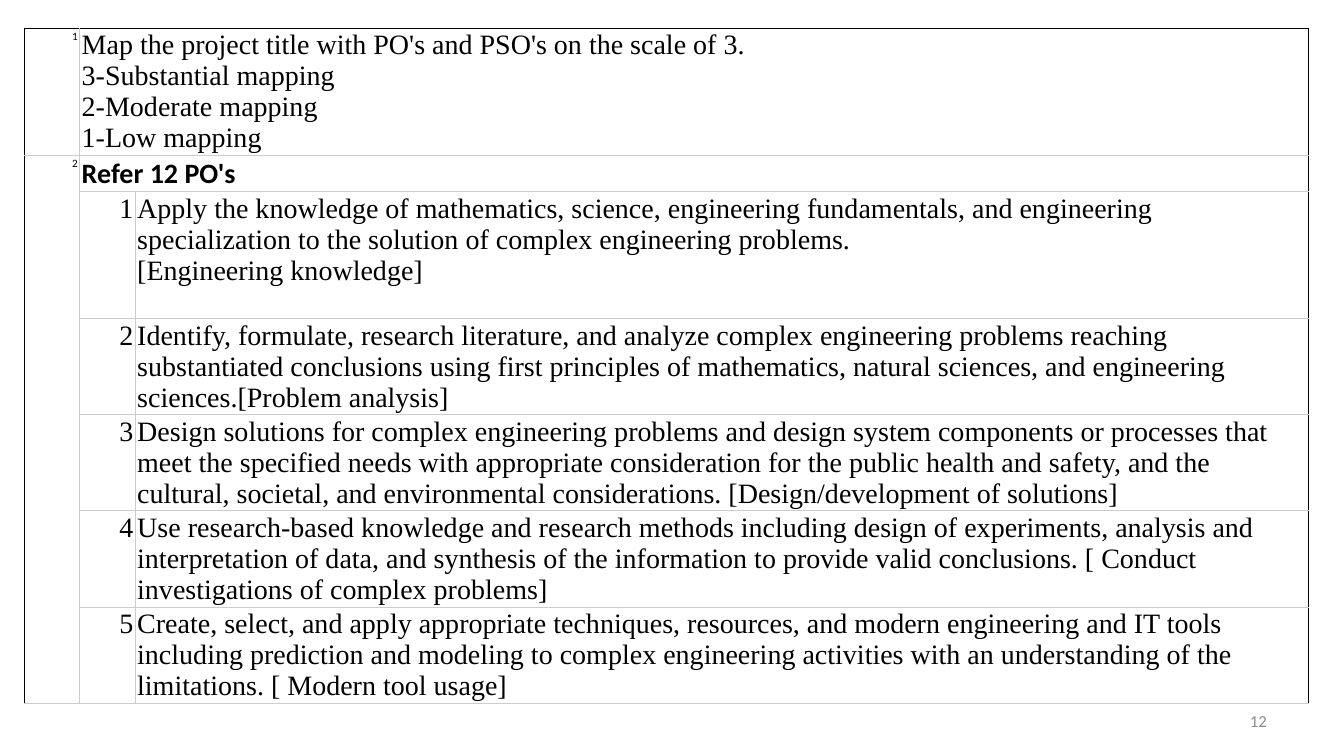
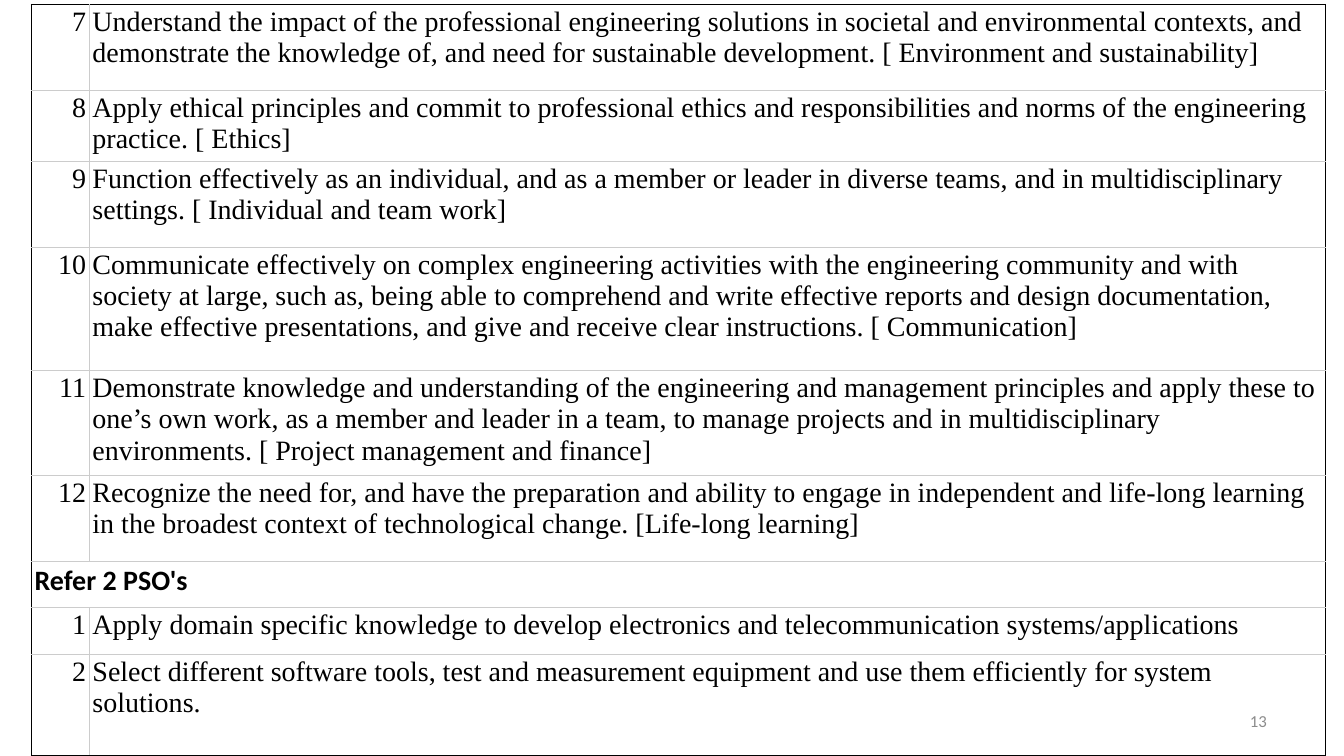
from pptx import Presentation
from pptx.dml.color import RGBColor as RGB
from pptx.enum.text import MSO_ANCHOR as ANCHOR, PP_ALIGN as ALIGN
from pptx.oxml import parse_xml
from pptx.oxml.ns import nsdecls
from pptx.util import Cm, Pt

COLORS = {"text": "000000", "frame": "000000", "grid": "CCCCCC", "number": "8C8C8C"}
BODY, HEAD = "Times New Roman", "Calibri"


class Deck:
    def __init__(self):
        self.prs = Presentation()
        self.prs.slide_width, self.prs.slide_height = Cm(33.87), Cm(19.05)
        self.s = None

    def slide(self):
        self.s = self.prs.slides.add_slide(self.prs.slide_layouts[6])

    def style(self, p, font, size, color="text", bold=False, align=ALIGN.LEFT):
        p.alignment = align
        p.font.name, p.font.size, p.font.bold = font, Pt(size), bold
        p.font.color.rgb = RGB.from_string(COLORS[color])

    def number(self, n):
        sp = self.s.shapes.add_textbox(Cm(24.28), Cm(17.65), Cm(7.9), Cm(1.02))
        tf = sp.text_frame
        tf.word_wrap = True
        tf.vertical_anchor = ANCHOR.MIDDLE
        tf.text = str(n)
        self.style(tf.paragraphs[0], HEAD, 12, "number", align=ALIGN.RIGHT)

    def table(self, left, top, widths, heights, inset, merges, closed):
        rows, cols = len(heights), len(widths)
        frame = self.s.shapes.add_table(rows, cols, Cm(left), Cm(top),
                                        Cm(sum(widths)), Cm(sum(heights)))
        table = frame.table
        table.first_row = table.horz_banding = False
        for column, width in zip(table.columns, widths):
            column.width = Cm(width)
        for row, height in zip(table.rows, heights):
            row.height = Cm(height)
        for first, last in merges:
            table.cell(*first).merge(table.cell(*last))
        for r in range(rows):
            for c in range(cols):
                cell = table.cell(r, c)
                cell.margin_left = cell.margin_right = Cm(inset[0])
                cell.margin_top = cell.margin_bottom = Cm(inset[1])
                self.borders(cell, {"L": c == 0, "R": c + cell.span_width >= cols,
                                    "T": r == 0,
                                    "B": closed and r + cell.span_height >= rows})
                cell.fill.background()
        return table

    def borders(self, cell, outer):
        tcPr = cell._tc.get_or_add_tcPr()
        for side, framed in outer.items():
            color = COLORS["frame" if framed else "grid"]
            tcPr.append(parse_xml(
                f'<a:ln{side} {nsdecls("a")} w="{Pt(0.75)}"><a:solidFill>'
                f'<a:srgbClr val="{color}"/></a:solidFill></a:ln{side}>'))

    def entry(self, cell, text, font=BODY, size=20, **look):
        cell.text = text
        self.style(cell.text_frame.paragraphs[0], font, size, **look)

    def outcomes(self, table, row, col, start, texts):
        for i, text in enumerate(texts):
            self.entry(table.cell(row + i, col), str(start + i), align=ALIGN.RIGHT)
            self.entry(table.cell(row + i, col + 1), text)


FIRST_POS = [
    "Apply the knowledge of mathematics, science, engineering fundamentals, and engineering "
    "specialization to the solution of complex engineering problems.\v[Engineering knowledge]",
    "Identify, formulate, research literature, and analyze complex engineering problems reaching "
    "substantiated conclusions using first principles of mathematics, natural sciences, and "
    "engineering sciences.[Problem analysis]",
    "Design solutions for complex engineering problems and design system components or processes "
    "that meet the specified needs with appropriate consideration for the public health and "
    "safety, and the cultural, societal, and environmental considerations. "
    "[Design/development of solutions]",
    "Use research-based knowledge and research methods including design of experiments, analysis "
    "and interpretation of data, and synthesis of the information to provide valid conclusions. "
    "[ Conduct investigations of complex problems]",
    "Create, select, and apply appropriate techniques, resources, and modern engineering and IT "
    "tools including prediction and modeling to complex engineering activities with an "
    "understanding of the limitations. [ Modern tool usage]",
]
LAST_POS = [
    "Understand the impact of the professional engineering solutions in societal and "
    "environmental contexts, and demonstrate the knowledge of, and need for sustainable "
    "development. [ Environment and sustainability]",
    "Apply ethical principles and commit to professional ethics and responsibilities and norms "
    "of the engineering practice. [ Ethics]",
    "Function effectively as an individual, and as a member or leader in diverse teams, and in "
    "multidisciplinary settings. [ Individual and team work]",
    "Communicate effectively on complex engineering activities with the engineering community "
    "and with society at large, such as, being able to comprehend and write effective reports "
    "and design documentation, make effective presentations, and give and receive clear "
    "instructions. [ Communication]",
    "Demonstrate knowledge and understanding of the engineering and management principles and "
    "apply these to one’s own work, as a member and leader in a team, to manage projects and in "
    "multidisciplinary environments. [ Project management and finance]",
    "Recognize the need for, and have the preparation and ability to engage in independent and "
    "life-long learning in the broadest context of technological change. [Life-long learning]",
]
PSOS = [
    "Apply domain specific knowledge to develop electronics and telecommunication "
    "systems/applications",
    "Select different software tools, test and measurement equipment and use them efficiently "
    "for system solutions.",
]

deck = Deck()

deck.slide()
steps = deck.table(0.61, 0.71, [1.4, 1.4, 29.56], [3.2, 0.91, 3.2] + [2.42] * 4, (0.05, 0.03),
                   [((0, 1), (0, 2)), ((1, 0), (6, 0)), ((1, 1), (1, 2))], closed=False)
for row in range(2):
    deck.entry(steps.cell(row, 0), str(row + 1), HEAD, 8, align=ALIGN.RIGHT)
deck.entry(steps.cell(0, 1), "Map the project title with PO's and PSO's on the scale of 3.\v"
           "3-Substantial mapping\v2-Moderate mapping\v1-Low mapping")
deck.entry(steps.cell(1, 1), "Refer 12 PO's", HEAD, bold=True)
deck.outcomes(steps, 2, 1, 1, FIRST_POS)
deck.number(12)

deck.slide()
deck.number(13)
goals = deck.table(0.79, 0.11, [1.46, 31.15],
                   [2.16, 1.73, 2.16, 3.12, 2.54, 2.16, 1.17, 1.17, 2.54], (0.08, 0.05),
                   [((6, 0), (6, 1))], closed=True)
deck.outcomes(goals, 0, 0, 7, LAST_POS)
deck.entry(goals.cell(6, 0), "Refer 2 PSO's", HEAD, bold=True)
deck.outcomes(goals, 7, 0, 1, PSOS)

deck.prs.save("out.pptx")
